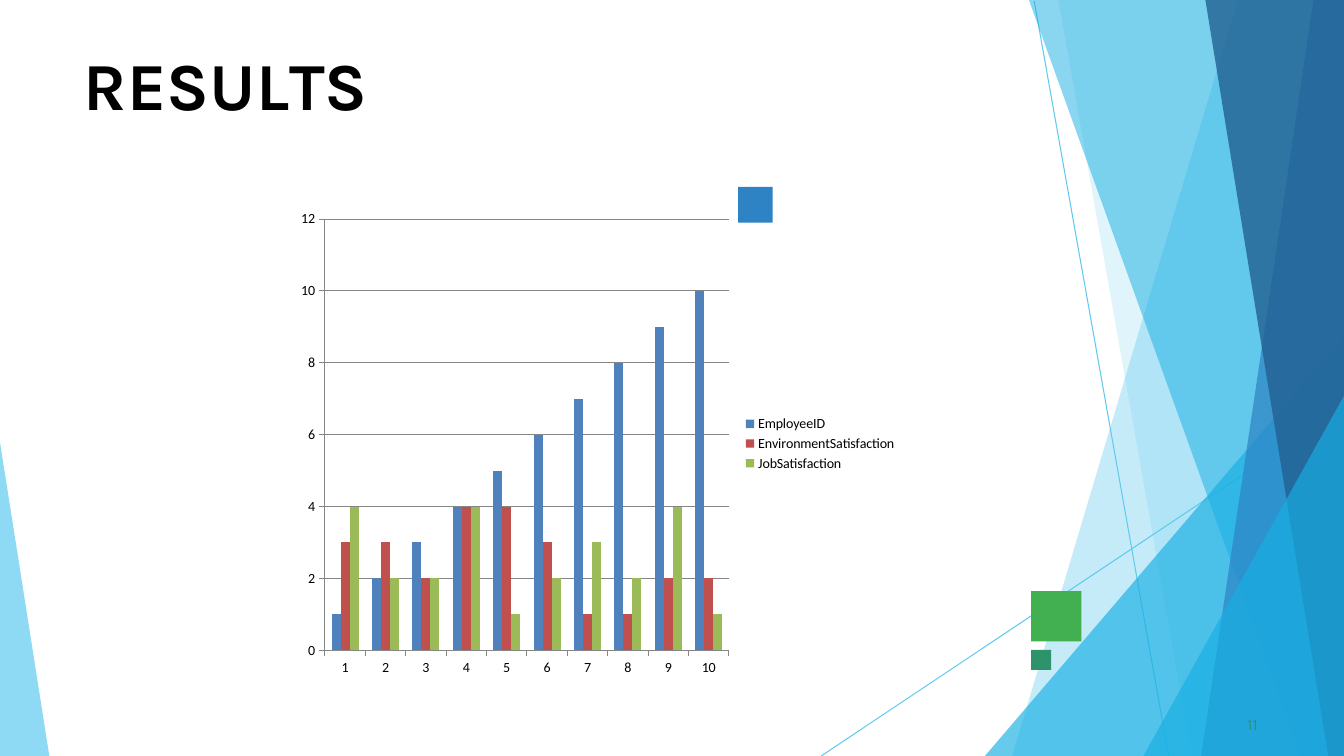
from lxml import etree
from pptx import Presentation
from pptx.chart.data import CategoryChartData
from pptx.dml.color import RGBColor
from pptx.enum.chart import XL_CHART_TYPE, XL_LEGEND_POSITION, XL_TICK_MARK
from pptx.enum.shapes import MSO_CONNECTOR, MSO_SHAPE
from pptx.oxml.ns import qn
from pptx.util import Pt

EMU_PER_PX = 9525
WIDTH, HEIGHT = 1280, 720
COLUMNS = XL_CHART_TYPE.COLUMN_CLUSTERED
LEGEND_RIGHT = XL_LEGEND_POSITION.RIGHT
TICK_OUTSIDE = XL_TICK_MARK.OUTSIDE
STRAIGHT = MSO_CONNECTOR.STRAIGHT
RECTANGLE = MSO_SHAPE.RECTANGLE

SKY, CYAN, BLUE, NAVY = "5FCAEE", "17AFE3", "2D83C3", "226192"
GREEN, TEAL, BLACK, GRID_GREY = "42AF51", "2D936B", "000000", "868686"

RAYS = [(985, 1, 1113, HEIGHT), (WIDTH, 388, 782, HEIGHT)]
# Left edge of each band as (top x, top y, bottom x), then colour and opacity.
BANDS = [
    (1179, 0, 964, SKY, 36),
    (1008, 0, 1135, SKY, 20),
    (WIDTH, 320, 938, CYAN, 66),
    (980, 0, 1239, CYAN, 50),
    (1251, 0, 1144, BLUE, 70),
    (1148, 0, 1265, NAVY, 80),
    (WIDTH, 377, 1089, CYAN, 66),
]
SQUARES = [
    (982, 563, 48, 48, GREEN),
    (703, 178, 33, 34, BLUE),
    (982, 619, 19, 19, TEAL),
]
TITLE = [("R", 0), ("E", -0.4), ("S", 0.1), ("U", -0.3), ("L", -4), ("TS", 0)]
SERIES = [
    ("EmployeeID", range(1, 11), "4F81BD"),
    ("EnvironmentSatisfaction", (3, 3, 2, 4, 4, 3, 1, 1, 2, 2), "C0504D"),
    ("JobSatisfaction", (4, 2, 2, 4, 1, 2, 3, 2, 4, 1), "9BBB59"),
]


def px(*lengths):
    return [length * EMU_PER_PX for length in lengths]


def paint(target, color):
    """Give a fill a solid colour."""
    target.solid()
    target.fore_color.rgb = RGBColor.from_string(color)


def add_ray(page, ends):
    ray = page.shapes.add_connector(STRAIGHT, *px(*ends))
    paint(ray.line.fill, SKY)
    ray.line.width = Pt(0.75)
    etree.SubElement(ray._element.spPr, qn("a:effectLst"))


def add_polygon(page, points, color, opacity):
    builder = page.shapes.build_freeform(*points[0], scale=EMU_PER_PX)
    builder.add_line_segments(points[1:], close=True)
    polygon = builder.convert_to_shape()
    polygon.shadow.inherit = False
    polygon.line.fill.background()
    paint(polygon.fill, color)
    srgb = polygon._element.spPr.find(".//" + qn("a:srgbClr"))
    etree.SubElement(srgb, qn("a:alpha"), val=str(opacity * 1000))


def add_band(page, top_x, top_y, bottom_x, color, opacity):
    """Fill from a slanted left edge to the right side of the page."""
    points = [(top_x, top_y), (bottom_x, HEIGHT), (WIDTH, HEIGHT)]
    if top_x < WIDTH:
        points.append((WIDTH, top_y))
    add_polygon(page, points, color, opacity)


def add_square(page, left, top, width, height, color):
    square = page.shapes.add_shape(RECTANGLE, *px(left, top, width, height))
    square.shadow.inherit = False
    square.line.fill.background()
    paint(square.fill, color)


def add_text(page, place, spans, size, color, bold=False, inset=0, before=0):
    """Add one line made of (text, letter spacing in points) runs."""
    box = page.shapes.add_textbox(*px(*place))
    frame = box.text_frame
    frame.word_wrap = True
    frame.margin_left, frame.margin_top = px(inset, 1)
    frame.margin_right = frame.margin_bottom = 0
    para = frame.paragraphs[0]
    para.space_before = Pt(before)
    for text, spacing in spans:
        span = para.add_run()
        span.text = text
        span.font.name = "Karla"
        span.font.size = Pt(size)
        span.font.bold = bold
        paint(span.font.fill, color)
        span._r.get_or_add_rPr().set("spc", str(round(spacing * 100)))


def add_results_chart(page, place):
    data = CategoryChartData()
    data.categories = [str(number) for number in range(1, 11)]
    for name, values, _ in SERIES:
        data.add_series(name, values)
    chart = page.shapes.add_chart(COLUMNS, *px(*place), data).chart
    chart.has_title = False
    chart.font.name = "Calibri"
    chart.font.size = Pt(10)
    paint(chart.font.fill, BLACK)
    chart.has_legend = True
    chart.legend.position = LEGEND_RIGHT
    chart.legend.include_in_layout = False

    plot = chart.plots[0]
    plot.vary_by_categories = False
    plot.gap_width = 150
    plot.overlap = 0
    for series, (_, _, color) in zip(plot.series, SERIES):
        paint(series.format.fill, color)

    value_axis = chart.value_axis
    value_axis.has_major_gridlines = True
    value_axis.minimum_scale, value_axis.maximum_scale = 0, 12
    value_axis.major_unit = 2
    for axis in (chart.category_axis, value_axis):
        axis.major_tick_mark = TICK_OUTSIDE
    for part in (chart.category_axis, value_axis, value_axis.major_gridlines):
        paint(part.format.line.fill, GRID_GREY)
        part.format.line.width = Pt(0.75)


def main():
    deck = Presentation()
    deck.slide_width, deck.slide_height = px(WIDTH, HEIGHT)
    page = deck.slides.add_slide(deck.slide_layouts[6])
    for ends in RAYS:
        add_ray(page, ends)
    for band in BANDS:
        add_band(page, *band)
    add_polygon(page, [(0, 421), (0, HEIGHT), (47, HEIGHT)], SKY, 70)
    for square in SQUARES:
        add_square(page, *square)
    add_text(page, (80, 40, 1121, 80), TITLE, 48, BLACK, bold=True, before=1.1)
    add_text(page, (1184, 680, 24, 20), [("11", 0.1)], 11, TEAL, inset=4, before=0.6)
    add_results_chart(page, (275, 192, 589, 461))
    deck.save("out.pptx")


if __name__ == "__main__":
    main()
